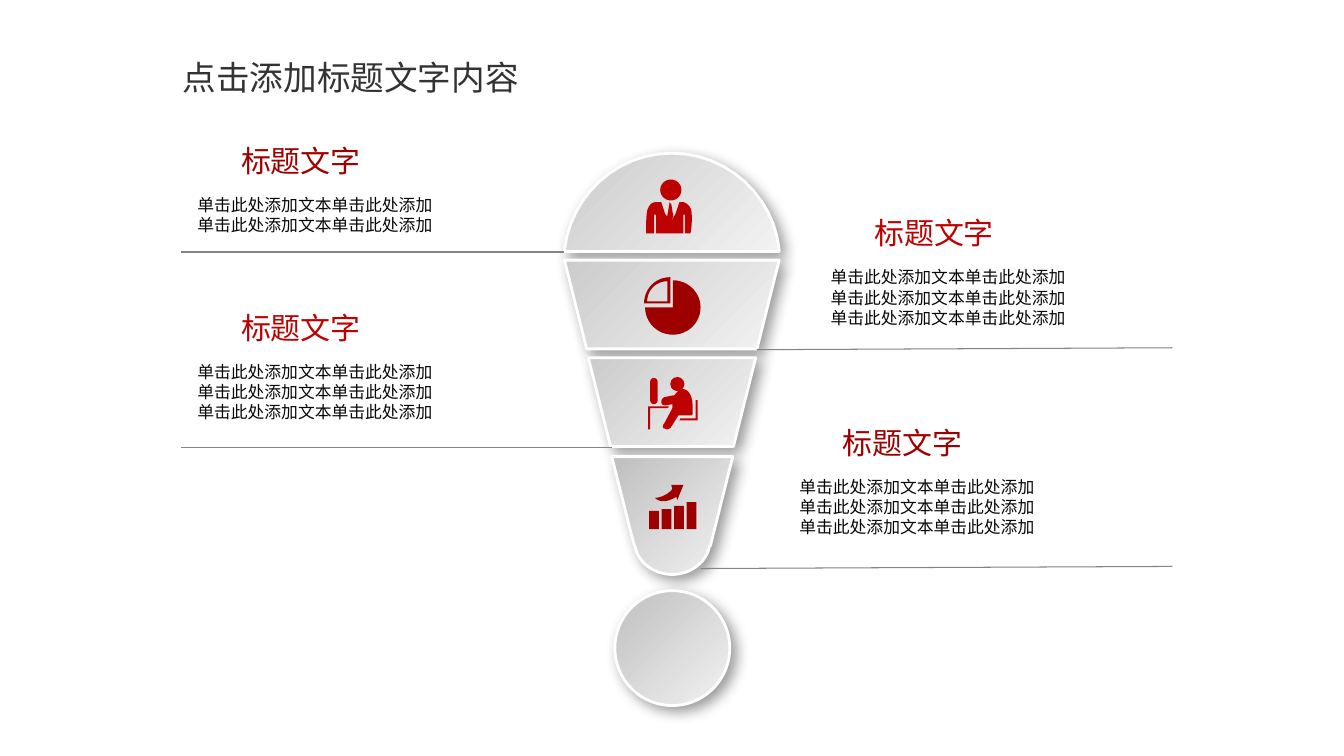
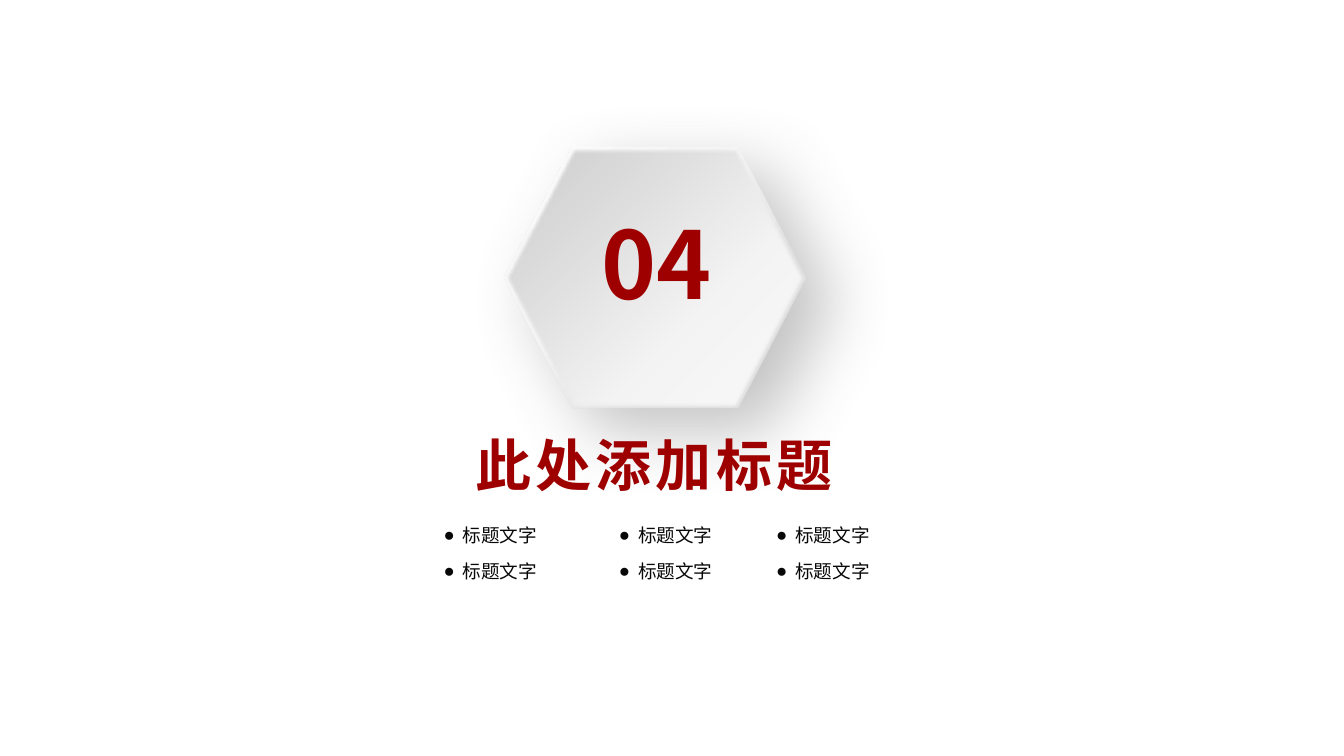
import pptx
import pptx.dml.color
import pptx.enum.shapes
import pptx.enum.text
import pptx.oxml
import pptx.oxml.ns
import pptx.util
from lxml import etree

Pt = pptx.util.Pt
RGBColor = pptx.dml.color.RGBColor
SHAPE = pptx.enum.shapes.MSO_SHAPE
ALIGN = pptx.enum.text.PP_ALIGN
qn = pptx.oxml.ns.qn

FONT = "Noto Sans CJK SC"
DARK_RED = RGBColor(0x9E, 0x00, 0x00)
RED = RGBColor(0xBD, 0x00, 0x00)
INK = RGBColor(0x08, 0x08, 0x08)
TITLE_GRAY = RGBColor(0x33, 0x33, 0x33)
RULE_GRAY = RGBColor(0x84, 0x84, 0x84)
WHITE = RGBColor(0xFF, 0xFF, 0xFF)

# Gradient stops: (percent, colour)
LIGHT_STEEL = [(0, "CCCCCC"), (100, "F2F2F2")]
DEEP_STEEL = [(0, "BFBFBF"), (100, "F2F2F2")]
HEXAGON_BACK = [(1, "DEDEDE"), (30, "E0E0E0"), (61, "F6F6F6"), (100, "FFFFFF")]
HEXAGON_FACE = [(0, "CBCBCB"), (32, "DEDEDE"), (64, "F3F3F3"), (100, "F9F9F9")]
# Shadows: colour, opacity, blur, distance, direction
SMALL_SHADOW = ("000000", 40, 10, 5, 45)
WIDE_SHADOW = ("696969", 40, 49, 25, 40)

DIAGRAM_TITLE = "点击添加标题文字内容"
HEADING = "标题文字"
BODY_LINE = "单击此处添加文本单击此处添加"
# Callouts: left, top, line count, heading colour
CALLOUTS = [
    (141, 139, 2, DARK_RED),
    (593.3, 190.8, 3, RED),
    (141, 258.5, 3, RED),
    (571, 340.6, 3, DARK_RED),
]
RULES = [
    (403.2, 180, 129.6, 180),
    (540.7, 249.8, 837.4, 248.4),
    (437, 319.7, 129.6, 319.7),
    (500.4, 406.1, 837.4, 404.6),
]
SECTION_NUMBER = "04"
SECTION_TITLE = "此处添加标题"
SECTION_COLUMNS = [(316.8, ["标题文字"] * 2), (442.1, ["标题文字"] * 2), (554.4, ["标题文字"] * 2)]

# Contours: a start point, then (x, y) lines and six-number cubic curves
CAP = [[(76.7, 0), (116.6, 0, 149.8, 31, 153.4, 69.1), (153.4, 70.2), (0, 70.2),
        (0, 69.1), (4.3, 31, 36.7, 0, 76.7, 0)]]
TAIL = [[(0, 0), (86.4, 0), (70.6, 63.4), (69.8, 64.1),
         (67.7, 75.6, 56.2, 84.2, 43.2, 84.2),
         (30.2, 84.2, 18.7, 75.6, 16.6, 64.1), (15.8, 62.6)]]
SUIT = [[(31.7, 4.3), (30.2, 1.4, 27.4, 0, 26.6, 0), (23.8, 0), (20.9, 8.6),
         (16.6, 15.8), (19.4, 10.1), (18, 1.4), (16.6, 0), (16.6, 1.4),
         (15.1, 10.1), (13.7, 8.6), (10.8, 0), (7.2, 0),
         (4.3, 0, 2.9, 1.4, 1.4, 4.3), (0, 7.2, 0, 15.1, 0, 22.3),
         (5.8, 22.3), (5.8, 9), (7.2, 9), (7.2, 22.3), (26.6, 22.3),
         (26.6, 9), (27.7, 9), (27.7, 22.3), (31.7, 22.3),
         (33, 15.1, 33, 7.2, 31.7, 4.3)]]
QUARTER = [[(0, 18.7), (18.7, 18.7), (18.7, 0), (7.9, 0, 0, 8.6, 0, 18.7)],
           [(2.2, 17.3), (16.6, 17.3), (16.6, 2.9), (8.6, 2.9, 2.2, 9.4, 2.2, 17.3)]]
DESK = [[(0, 20.9), (15.1, 20.9), (13.7, 22.3), (1.4, 22.3), (1.4, 37.4), (0, 37.4)]]
WORKER = [[(11.5, 33.1), (10.1, 34.6, 10.1, 36.7, 11.5, 36.7), (13, 37.4),
           (14.4, 37.4, 15.1, 36.7, 15.8, 36.7), (21.6, 27.4), (31, 27.4),
           (31.7, 26.6), (31.7, 20.2), (31.7, 13.7, 28.8, 8.6, 24.5, 8.6),
           (22.3, 9.4), (20.9, 10.1, 20.2, 11.5, 18.7, 13), (11.5, 14.4),
           (10.1, 15.1, 9.4, 16.6, 9.4, 18), (9.4, 19.4, 10.8, 20.2, 11.5, 20.2),
           (13, 20.2), (17.3, 19.4), (17.3, 22.3)]]
CHAIR = [[(23, 29.5), (33.8, 29.5), (33.8, 16.6), (35.3, 16.6), (35.3, 31), (22.3, 31)]]
ARROW = [[(12.2, 2.9), (11.5, 4.3, 7.2, 8.6, 0, 9.4), (0, 9.4, 4.3, 15.1, 15.1, 8.6),
          (15.8, 10.8), (20.2, 0), (11.5, 0)]]
BAR_HEIGHTS = [13, 14.4, 16.6, 19.4]


def write(box, lines, size, color, bold=False, align=ALIGN.LEFT, inset=(0, 0, 0, 0),
          wrap=True, tracking=None, spacing=None, gap=0, bullet=None):
    frame = box.text_frame
    frame.word_wrap = wrap
    frame.auto_size = pptx.enum.text.MSO_AUTO_SIZE.NONE
    frame.vertical_anchor = pptx.enum.text.MSO_ANCHOR.TOP
    (frame.margin_left, frame.margin_top,
     frame.margin_right, frame.margin_bottom) = map(Pt, inset)
    for index, line in enumerate(lines):
        para = frame.paragraphs[0] if index == 0 else frame.add_paragraph()
        para.alignment = align
        para.space_before = Pt(gap if index else 0)
        if spacing:
            para.line_spacing = Pt(spacing)
        if bullet:
            properties = para._p.get_or_add_pPr()
            properties.set("marL", str(Pt(13.7)))
            properties.set("indent", str(-Pt(13.7)))
            etree.SubElement(properties, qn("a:buChar")).set("char", bullet)
        span = para.add_run()
        span.text = line
        span.font.size = Pt(size)
        span.font.bold = bold
        span.font.name = FONT
        span.font.color.rgb = color
        run_properties = span._r.get_or_add_rPr()
        etree.SubElement(run_properties, qn("a:ea")).set("typeface", FONT)
        if tracking:
            run_properties.set("spc", str(tracking * 100))


def place(shape, left, top, width, height):
    shape.left, shape.top, shape.width, shape.height = map(Pt, (left, top, width, height))


def add_text(page, left, top, width, height, lines, **style):
    write(page.shapes.add_textbox(*map(Pt, (left, top, width, height))), lines, **style)


def set_gradient(shape, stops, angle):
    """Fill with stops along an angle measured clockwise."""
    shape.fill.gradient()
    shape.fill.gradient_angle = -angle % 360
    stop_list = shape._element.spPr.find(".//" + qn("a:gsLst"))
    for old in list(stop_list):
        stop_list.remove(old)
    for percent, color in stops:
        stop = etree.SubElement(stop_list, qn("a:gs"), pos=str(percent * 1000))
        etree.SubElement(stop, qn("a:srgbClr"), val=color)


def add_effect(shape, tag, **attributes):
    effects = shape._element.spPr.find(qn("a:effectLst"))
    return etree.SubElement(effects, qn(tag), {k: str(v) for k, v in attributes.items()})


def add_shadow(shape, color, opacity, blur, distance, direction):
    shadow = add_effect(shape, "a:outerShdw", blurRad=Pt(blur), dist=Pt(distance),
                        dir=direction * 60000, algn="ctr", rotWithShape=0)
    tone = etree.SubElement(shadow, qn("a:srgbClr"), val=color)
    etree.SubElement(tone, qn("a:alpha"), val=str(opacity * 1000))


def plain(shape, color=None):
    shape.shadow.inherit = False
    shape.line.fill.background()
    if color is not None:
        shape.fill.solid()
        shape.fill.fore_color.rgb = color
    return shape


def add_preset(page, kind, left, top, width, height, color=None, adjust=()):
    shape = page.shapes.add_shape(kind, *map(Pt, (left, top, width, height)))
    for index, value in enumerate(adjust):
        shape.adjustments[index] = value
    return plain(shape, color)


def flatten(contour, steps=12):
    """Turn lines and cubic curves into a list of points."""
    points = [contour[0]]
    for part in contour[1:]:
        if len(part) == 2:
            points.append(part)
            continue
        controls = [points[-1], part[:2], part[2:4], part[4:]]
        for step in range(1, steps + 1):
            t = step / steps
            weights = ((1 - t) ** 3, 3 * t * (1 - t) ** 2, 3 * t * t * (1 - t), t ** 3)
            points.append(tuple(sum(w * c[axis] for w, c in zip(weights, controls))
                                for axis in (0, 1)))
    return points


def add_outline(page, left, top, contours, color=None):
    builder = None
    for contour in contours:
        points = [(Pt(left + x), Pt(top + y)) for x, y in flatten(contour)]
        if builder is None:
            builder = page.shapes.build_freeform(*points[0], scale=1.0)
        else:
            builder.move_to(*points[0])
        builder.add_line_segments(points[1:], close=True)
    return plain(builder.convert_to_shape(), color)


def finish_segment(shape, stops, angle=45):
    set_gradient(shape, stops, angle)
    shape.line.color.rgb = WHITE
    shape.line.width = Pt(2)
    add_shadow(shape, *SMALL_SHADOW)


def add_exclamation_mark(page):
    finish_segment(add_outline(page, 403.2, 109.4, CAP), LIGHT_STEEL)
    for left, top, width in ((403.2, 185.8, 153.4), (420.3, 255.6, 119.5)):
        slab = add_preset(page, SHAPE.TRAPEZOID, left, top, width, 63.4)
        slab._element.spPr.xfrm.set("flipV", "1")
        finish_segment(slab, LIGHT_STEEL, 315)
    finish_segment(add_outline(page, 437, 326.2, TAIL), DEEP_STEEL)
    finish_segment(add_preset(page, SHAPE.OVAL, 439.2, 421.9, 82.1, 82.1), DEEP_STEEL)


def add_icons(page):
    add_preset(page, SHAPE.OVAL, 471.6, 128.2, 15.2, 15, RED)
    add_outline(page, 461.5, 144.4, SUIT, RED)

    add_preset(page, SHAPE.PIE, 460.8, 200.2, 39.6, 38.9, DARK_RED, adjust=(162, 108))
    add_outline(page, 460.1, 198, QUARTER, DARK_RED)

    add_preset(page, SHAPE.ROUNDED_RECTANGLE, 464.4, 270, 5.4, 18.7, RED, adjust=(0.5,))
    add_preset(page, SHAPE.OVAL, 478.8, 269.3, 10.1, 10.1, RED)
    for contours in (DESK, WORKER, CHAIR):
        add_outline(page, 463, 269.3, contours, RED)

    for index, height in enumerate(BAR_HEIGHTS):
        add_preset(page, SHAPE.RECTANGLE, 463.7 + 8.9 * index, 378 - height, 7, height, DARK_RED)
    add_outline(page, 468, 346.3, ARROW, DARK_RED)


def add_rule(page, ends):
    rule = page.shapes.add_connector(pptx.enum.shapes.MSO_CONNECTOR.STRAIGHT, *map(Pt, ends))
    rule.line.color.rgb = RULE_GRAY
    rule.line.width = Pt(0.75)
    etree.SubElement(rule._element.spPr, qn("a:effectLst"))


def build_diagram(deck):
    page = deck.slides.add_slide(deck.slide_layouts[5])
    title = page.shapes.title
    place(title, 73.4, 37, 354.2, 42)
    write(title, [DIAGRAM_TITLE], size=24, color=TITLE_GRAY, align=ALIGN.CENTER,
          inset=(7.2, 3.6, 7.2, 3.6))
    add_exclamation_mark(page)
    add_icons(page)
    for ends in RULES:
        add_rule(page, ends)
    for left, top, count, color in CALLOUTS:
        add_text(page, left, top, 186, 14.4 * count + 3.6, [BODY_LINE] * count,
                 size=12, color=INK, spacing=14.4, inset=(0, 0, 7.2, 3.6))
        add_text(page, left + 31, top - 37.5, 85.7, 31, [HEADING], size=21.4, color=color,
                 align=ALIGN.CENTER, wrap=False)


def build_section(deck):
    page = deck.slides.add_slide(deck.slide_layouts[4])
    title, *columns = page.placeholders
    for spare in columns[len(SECTION_COLUMNS):]:
        spare.element.getparent().remove(spare.element)

    hexagon = (SHAPE.HEXAGON, 360, 105.1, 216, 186.5)
    back = add_preset(page, *hexagon, adjust=(0.26,))
    set_gradient(back, HEXAGON_BACK, 225)
    add_shadow(back, *WIDE_SHADOW)
    face = add_preset(page, *hexagon, adjust=(0.26,))
    set_gradient(face, HEXAGON_FACE, 45)
    add_effect(face, "a:softEdge", rad=Pt(2.5))
    add_text(page, 429.8, 147.6, 157, 97, [SECTION_NUMBER], size=66.7, color=DARK_RED, bold=True)

    # The title sits above the wide shadow
    title.element.getparent().append(title.element)
    place(title, 332.6, 303.8, 290, 65)
    write(title, [SECTION_TITLE], size=40, color=DARK_RED, bold=True, tracking=3,
          inset=(7.2, 3.6, 7.2, 3.6))
    for column, (left, items) in zip(columns, SECTION_COLUMNS):
        place(column, left, 374, 110, 50)
        write(column, items, size=13.3, color=INK, gap=9.8, bullet="●")


def main():
    deck = pptx.Presentation()
    deck.slide_width, deck.slide_height = Pt(960), Pt(540)
    build_diagram(deck)
    build_section(deck)
    deck.save("out.pptx")


if __name__ == "__main__":
    main()
